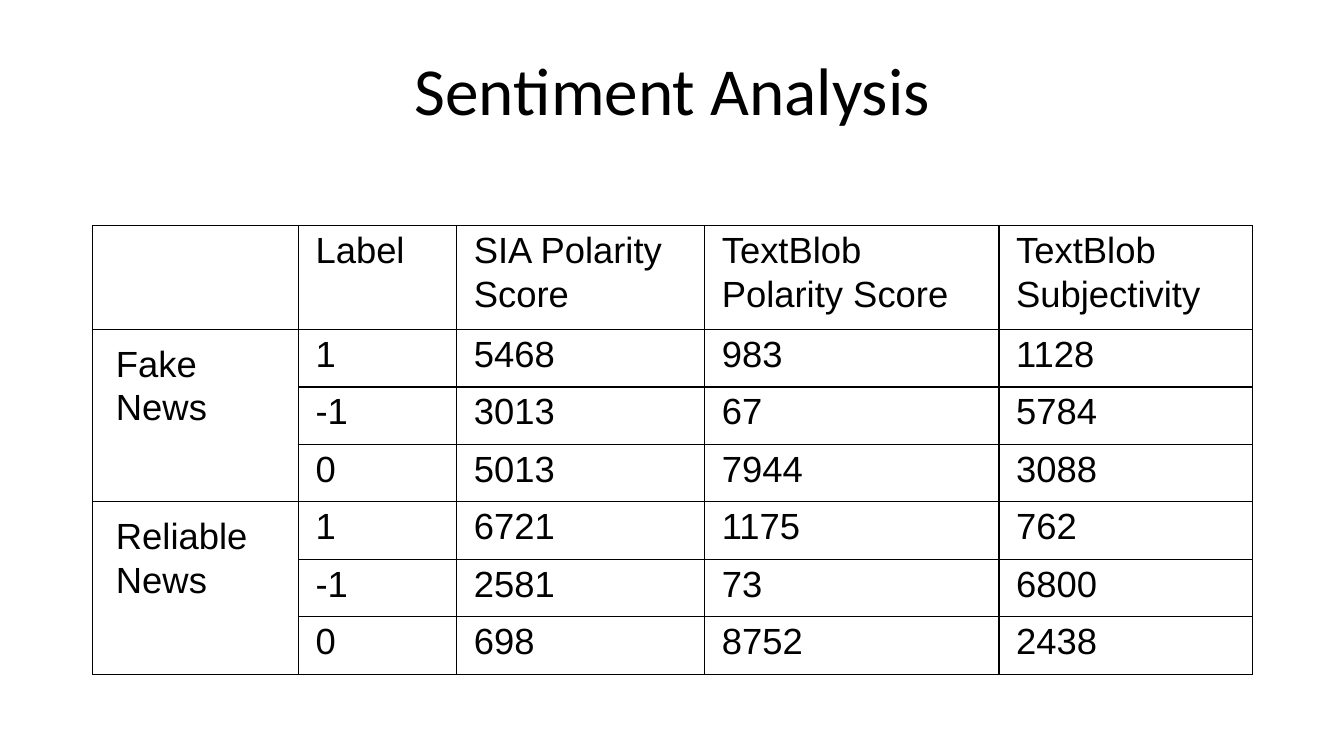
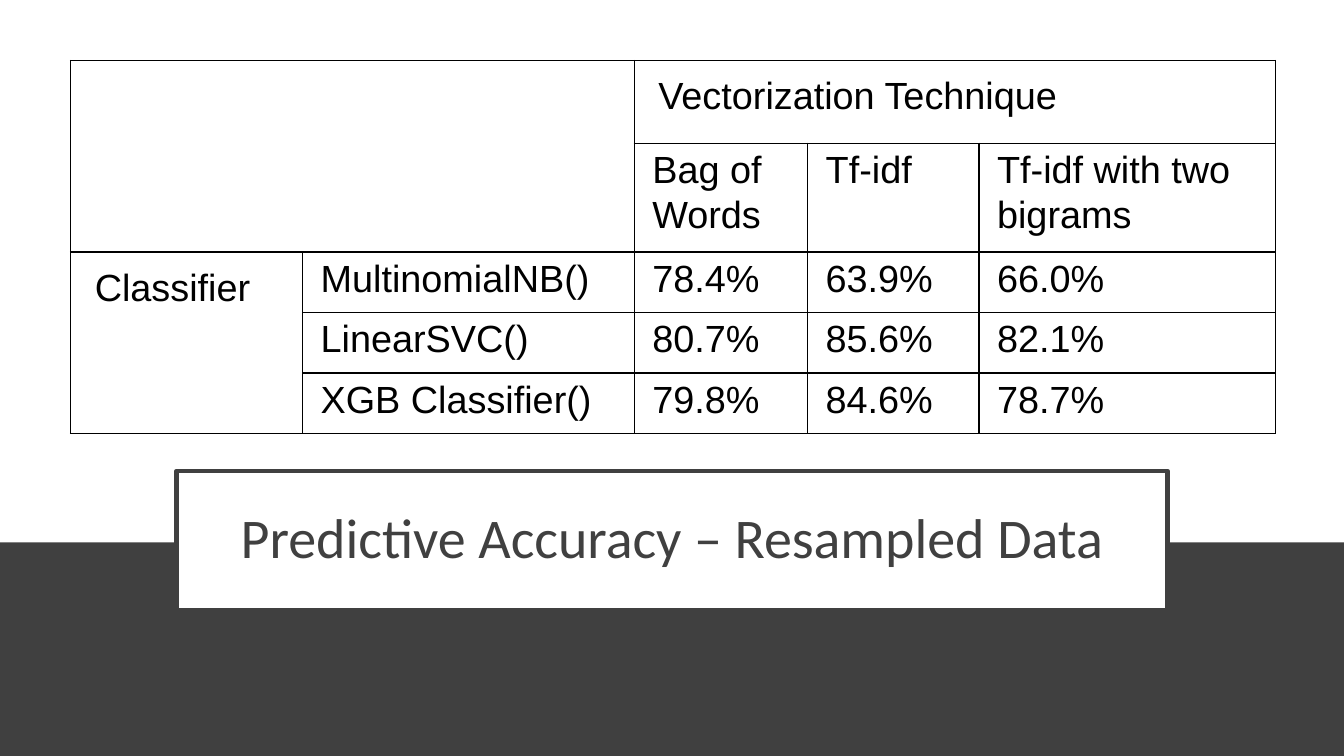
from pptx import Presentation
from pptx.dml.color import RGBColor
from pptx.enum.shapes import MSO_SHAPE
from pptx.enum.text import MSO_ANCHOR, MSO_AUTO_SIZE, PP_ALIGN
from pptx.oxml import parse_xml
from pptx.oxml.ns import nsdecls
from pptx.util import Inches, Pt

# Shared look
WIDE, HIGH = 13.33, 7.5
BLACK, WHITE, DARK = "000000", "FFFFFF", "404040"
SIDES = ("margin_left", "margin_top", "margin_right", "margin_bottom")

# Content: spans map (row, column) to (rows, columns)
MOOD = {
    "title": "Sentiment Analysis",
    "at": (0.92, 2.24, 11.5, 4.45),
    "cols": [2.04, 1.57, 2.46, 2.92, 2.51],
    "rows": [1.03] + [0.57] * 6,
    "size": 26,
    "inset": (0.17, 0.02, 0.15, 0),
    "pad": (0.23, 0.12, 0.23, 0.12),
    "spans": {(1, 0): (3, 1), (4, 0): (3, 1)},
    "cells": [
        ("", "Label", "SIA Polarity Score", "TextBlob Polarity Score",
         "TextBlob\nSubjectivity"),
        ("Fake News", "1", "5468", "983", "1128"),
        ("", "-1", "3013", "67", "5784"),
        ("", "0", "5013", "7944", "3088"),
        ("Reliable News", "1", "6721", "1175", "762"),
        ("", "-1", "2581", "73", "6800"),
        ("", "0", "698", "8752", "2438"),
    ],
}
SCORE = {
    "title": "Predictive Accuracy – Resampled Data",
    "at": (0.7, 0.6, 11.95, 3.69),
    "cols": [2.3, 3.29, 1.72, 1.7, 2.94],
    "rows": [0.82, 1.08] + [0.6] * 3,
    "size": 27,
    "inset": (0.18, 0.03, 0.18, 0),
    "pad": (0.24, 0.12, 0.24, 0.12),
    "spans": {(0, 0): (2, 2), (0, 2): (1, 3), (2, 0): (3, 1)},
    "cells": [
        ("", "", "Vectorization Technique", "", ""),
        ("", "", "Bag of Words", "Tf-idf", "Tf-idf with two bigrams"),
        ("Classifier", "MultinomialNB()", "78.4%", "63.9%", "66.0%"),
        ("", "LinearSVC()", "80.7%", "85.6%", "82.1%"),
        ("", "XGB Classifier()", "79.8%", "84.6%", "78.7%"),
    ],
}


def tint(part, color):
    """Give a fill a solid colour."""
    part.solid()
    part.fore_color.rgb = RGBColor.from_string(color)


def style(frame, font, size, color, space, align=None):
    for para in frame.paragraphs:
        para.line_spacing, para.alignment = space, align
        for run in para.runs:
            for key, val in {"name": font, "size": Pt(size)}.items():
                setattr(run.font, key, val)
            run.font.color.rgb = RGBColor.from_string(color)


def place(shape, box):
    for key, val in zip(("left", "top", "width", "height"), box):
        setattr(shape, key, Inches(val))


def add_title(slide, text, box, size, color, anchor):
    title = slide.shapes.title
    place(title, box)
    frame = title.text_frame
    frame.text = text
    look = {"word_wrap": True, "auto_size": MSO_AUTO_SIZE.NONE,
            "vertical_anchor": anchor}
    for key, val in look.items():
        setattr(frame, key, val)
    style(frame, "Calibri", size, color, 0.9, PP_ALIGN.CENTER)
    return title


def edge(cell):
    """Draw a thin black line on each side of a cell."""
    props = cell._tc.get_or_add_tcPr()
    for side in "LRTB":
        props.append(parse_xml(
            f'<a:ln{side} {nsdecls("a")} w="{Pt(1)}"><a:solidFill>'
            f'<a:srgbClr val="{BLACK}"/></a:solidFill></a:ln{side}>'))


def add_grid(slide, data):
    rows, cols = data["rows"], data["cols"]
    box = [Inches(n) for n in data["at"]]
    table = slide.shapes.add_table(len(rows), len(cols), *box).table
    table.first_row = table.horz_banding = False
    for col, size in zip(table.columns, cols):
        col.width = Inches(size)
    for row, size in zip(table.rows, rows):
        row.height = Inches(size)
    for r, line in enumerate(data["cells"]):
        for c, text in enumerate(line):
            cell = table.cell(r, c)
            inset = data["pad" if (r, c) in data["spans"] else "inset"]
            for side, gap in zip(SIDES, inset):
                setattr(cell, side, Inches(gap))
            edge(cell)
            cell.fill.background()
            if text:
                cell.text = text
                style(cell.text_frame, "Arial", data["size"], BLACK, 1.07)
    for (r, c), (down, over) in data["spans"].items():
        table.cell(r, c).merge(table.cell(r + down - 1, c + over - 1))


def add_band(slide, top):
    band = slide.shapes.add_shape(
        MSO_SHAPE.RECTANGLE, 0, Inches(top), Inches(WIDE), Inches(HIGH - top))
    band.shadow.inherit = False
    tint(band.fill, DARK)
    band.line.fill.background()
    # Send the band behind the title
    slide.shapes._spTree.insert(2, band._element)


def main():
    deck = Presentation()
    deck.slide_width, deck.slide_height = Inches(WIDE), Inches(HIGH)
    plain = deck.slide_layouts[5]

    # Sentiment table under a plain title
    slide = deck.slides.add_slide(plain)
    add_title(slide, MOOD["title"], (0.92, 0.32, 11.5, 1.02), 48, BLACK,
              MSO_ANCHOR.BOTTOM)
    add_grid(slide, MOOD)

    # Accuracy table over a boxed title on a dark band
    slide = deck.slides.add_slide(plain)
    add_band(slide, 5.38)
    title = add_title(slide, SCORE["title"], (1.75, 4.67, 9.83, 1.38), 40,
                      DARK, MSO_ANCHOR.MIDDLE)
    tint(title.fill, WHITE)
    tint(title.line.fill, DARK)
    title.line.width = Pt(3)
    add_grid(slide, SCORE)

    deck.save("out.pptx")


if __name__ == "__main__":
    main()
